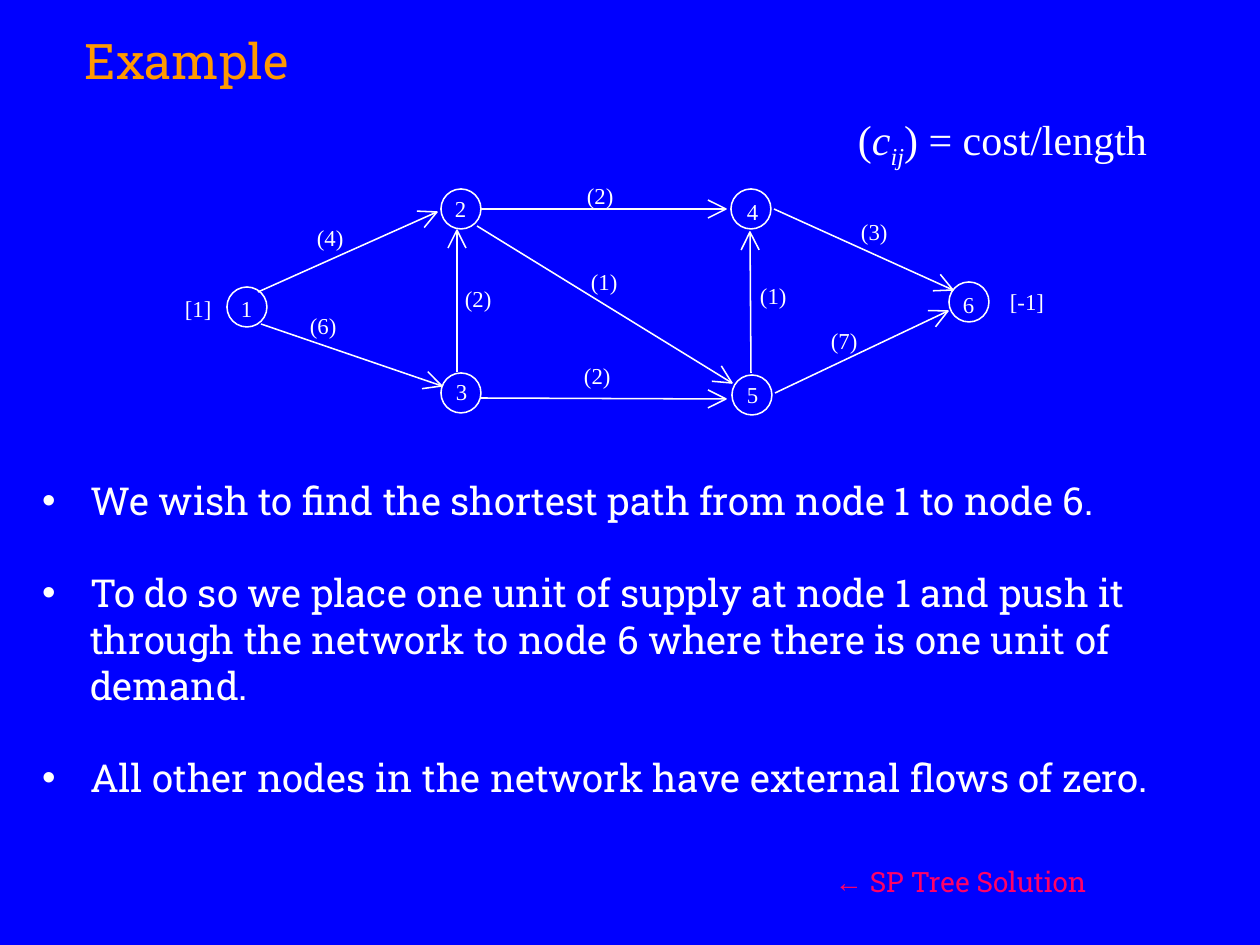
from math import hypot
from lxml.etree import SubElement
from pptx import Presentation
from pptx.dml.color import RGBColor
from pptx.enum.shapes import MSO_CONNECTOR, MSO_SHAPE
from pptx.enum.text import MSO_AUTO_SIZE
from pptx.oxml.ns import qn
from pptx.util import Pt

BLUE = RGBColor(0x00, 0x00, 0xFF)
WHITE = RGBColor(0xFF, 0xFF, 0xFF)
ORANGE = RGBColor(0xFF, 0x99, 0x00)
PINK = RGBColor(0xFF, 0x00, 0x66)
SLAB, TIMES = "Roboto Slab", "Times New Roman"

TITLE = {"name": SLAB, "size": Pt(28), "color": ORANGE}
LABEL = {"name": TIMES, "size": Pt(13), "color": WHITE}
LEGEND = {"name": TIMES, "size": Pt(24), "color": WHITE}
BODY = {"name": SLAB, "size": Pt(22), "color": WHITE}
NOTE = {"name": SLAB, "size": Pt(16), "color": PINK}

NODES = [(441, 189), (441, 373), (227, 287), (949, 282), (732, 375), (731, 189)]
NODE_SIZE = 40
ARCS = [
    (481, 209, 726, 209), (457, 372, 457, 230), (751, 373, 750, 232),
    (481, 398, 726, 399), (477, 226, 732, 383), (261, 324, 442, 386),
    (258, 292, 437, 212), (775, 393, 948, 311), (774, 209, 953, 290),
]
HEAD_LENGTH, HEAD_HALF = 18, 9
LABELS = [
    ("[1]", 185, 295), ("[-1]", 1010, 288),
    ("1", 241, 295), ("6", 963, 291), ("5", 747, 381),
    ("4", 747, 198), ("3", 456, 378), ("2", 455, 195),
    ("(1)", 591, 268), ("(3)", 861, 218), ("(6)", 310, 312),
    ("(4)", 317, 224), ("(2)", 465, 285), ("(2)", 584, 362),
    ("(2)", 587, 182), ("(1)", 760, 282), ("(7)", 831, 327),
]
LABEL_WIDTHS = {1: 12, 3: 28, 4: 35}
COST = [
    ("(", {}), ("c", {"italic": True}),
    ("ij", {"italic": True, "baseline": "-25000"}), (") = cost/length", {}),
]
BULLETS = [
    "We wish to find the shortest path from node 1 to node 6.",
    "To do so we place one unit of supply at node 1 and push it "
    "through the network to node 6 where there is one unit of demand.",
    "All other nodes in the network have external flows of zero.",
]
LINK = [("←", {"name": "Arial"}), (" SP Tree Solution", {})]


def px(n):
    return round(n * 914400 / 126)


def add_run(p, text, formats):
    r = p.add_run()
    r.text = text
    for key, value in formats.items():
        if key == "color":
            r.font.color.rgb = value
        elif key == "baseline":
            r.font._element.set(key, value)
        else:
            setattr(r.font, key, value)


def add_text(s, box, paragraphs, formats, wrap=False, inset=(0, 0)):
    tf = s.shapes.add_textbox(*map(px, box)).text_frame
    tf.word_wrap = wrap
    tf.auto_size = MSO_AUTO_SIZE.SHAPE_TO_FIT_TEXT
    tf.margin_left = tf.margin_right = px(inset[0])
    tf.margin_top = tf.margin_bottom = px(inset[1])
    for i, runs in enumerate(paragraphs):
        p = tf.paragraphs[0] if i == 0 else tf.add_paragraph()
        for text, extra in runs:
            add_run(p, text, {**formats, **extra})
    return tf


def outline(sp):
    sp.line.color.rgb = WHITE
    sp.line.width = Pt(0.88)


def add_node(s, x, y):
    sp = s.shapes.add_shape(MSO_SHAPE.OVAL, *map(px, (x, y, NODE_SIZE, NODE_SIZE)))
    sp.shadow.inherit = False
    sp.fill.background()
    outline(sp)


def add_arc(s, x1, y1, x2, y2):
    shapes = s.shapes.add_group_shape().shapes
    shaft = shapes.add_connector(MSO_CONNECTOR.STRAIGHT, *map(px, (x1, y1, x2, y2)))
    outline(shaft)
    SubElement(shaft._element.spPr, qn("a:effectLst"))
    length = hypot(x2 - x1, y2 - y1)
    ux, uy = (x2 - x1) / length, (y2 - y1) / length
    bx, by = x2 - HEAD_LENGTH * ux, y2 - HEAD_LENGTH * uy
    left, right = [(px(bx - k * uy), px(by + k * ux)) for k in (HEAD_HALF, -HEAD_HALF)]
    fb = shapes.build_freeform(*left)
    fb.add_line_segments([(px(x2), px(y2)), right], close=False)
    head = fb.convert_to_shape()
    head.shadow.inherit = False
    head.fill.background()
    outline(head)


def add_bullet(p):
    pPr = p._p.get_or_add_pPr()
    pPr.set("marL", str(px(48)))
    pPr.set("indent", str(px(-48)))
    color = SubElement(pPr, qn("a:buClr"))
    SubElement(color, qn("a:srgbClr"), val=str(WHITE))
    SubElement(pPr, qn("a:buFont"), typeface="Arial")
    SubElement(pPr, qn("a:buChar"), char="•")


def main():
    """Build the shortest path example slide."""
    prs = Presentation()
    prs.slide_width, prs.slide_height = px(1260), px(945)
    s = prs.slides.add_slide(prs.slide_layouts[6])
    s.background.fill.solid()
    s.background.fill.fore_color.rgb = BLUE

    add_text(s, (85, 30, 208, 59), [[("Example", {})]], TITLE)
    for node in NODES:
        add_node(s, *node)
    for arc in ARCS:
        add_arc(s, *arc)
    for text, x, y in LABELS:
        add_text(s, (x, y, LABEL_WIDTHS[len(text)], 28), [[(text, {})]], LABEL)
    add_text(s, (858, 113, 300, 58), [COST], LEGEND)

    body = add_text(s, (42, 477, 1166, 324), [[(b, {})] for b in BULLETS], BODY, True)
    for i, p in enumerate(body.paragraphs):
        add_bullet(p)
        if i:
            p.space_before = Pt(26.4)
    add_text(s, (822, 859, 331, 47), [LINK], NOTE, True, (13, 6))
    prs.save("out.pptx")


if __name__ == "__main__":
    main()
